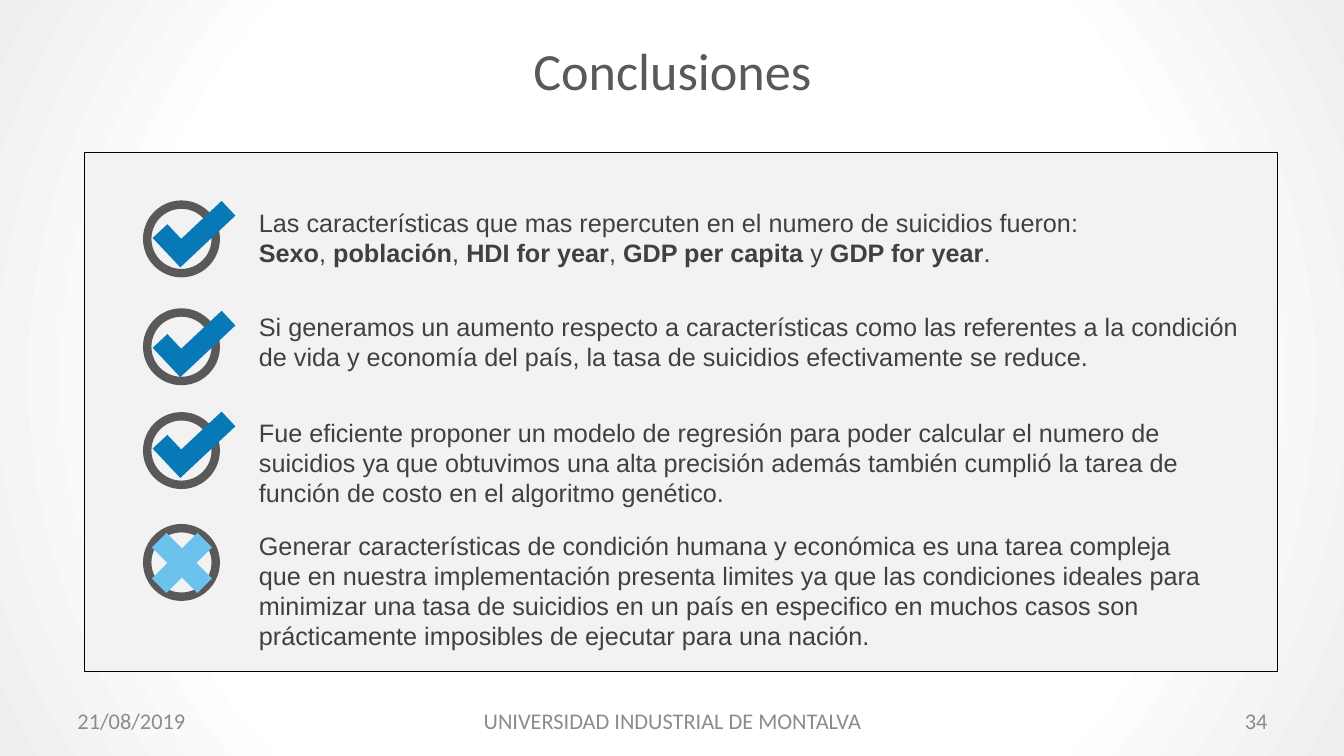
from dataclasses import dataclass

from lxml.etree import SubElement
from pptx import Presentation
from pptx.dml.color import RGBColor
from pptx.enum.shapes import MSO_SHAPE as Preset
from pptx.enum.text import MSO_ANCHOR as Anchor, PP_ALIGN as Align
from pptx.oxml.ns import qn
from pptx.util import Inches, Pt


@dataclass(frozen=True)
class Theme:
    """Colours, fonts and type sizes."""
    dark: str = "595959"
    body: str = "404040"
    muted: str = "8C8C8C"
    panel: str = "F2F2F2"
    border: str = "000000"
    check: str = "0779B7"
    cross: str = "6BC2ED"
    center: str = "FFFFFF"
    edge: str = "EEEEEE"
    heading_font: str = "Calibri"
    body_font: str = "Arial"
    title_size: float = 37.3
    body_size: float = 18
    footer_size: float = 16


@dataclass(frozen=True)
class Conclusion:
    """One conclusion, with the tops of its ring, mark and text."""
    ring_top: float
    mark_top: float
    text_top: float
    achieved: bool
    lines: tuple


THEME = Theme()
LINE_HEIGHT = 0.3
CONCLUSIONS = (
    Conclusion(2.03, 2.05, 2.01, True, (
        "Las características que mas repercuten en el numero de suicidios fueron:",
        "*Sexo*, *población*, *HDI for year*, *GDP per capita *y *GDP for year*.")),
    Conclusion(3.1, 3.14, 3.04, True, (
        "Si generamos un aumento respecto a características como las referentes a la condición",
        "de vida y economía del país, la tasa de suicidios efectivamente se reduce.")),
    Conclusion(4.13, 4.14, 4.09, True, (
        "Fue eficiente proponer un modelo de regresión para poder calcular el numero de",
        "suicidios ya que obtuvimos una alta precisión además también cumplió la tarea de",
        "función de costo en el algoritmo genético.")),
    Conclusion(5.24, 5.15, 5.21, False, (
        "Generar características de condición humana y económica es una tarea compleja",
        "que en nuestra implementación presenta limites ya que las condiciones ideales para",
        "minimizar una tasa de suicidios en un país en especifico en muchos casos son",
        "prácticamente imposibles de ejecutar para una nación.")),
)


def paint_background(slide):
    """Fill the background with a circular gradient."""
    fill = slide.background.fill
    fill.gradient()
    stops = ((0.67, THEME.center), (1, THEME.edge))
    for stop, (position, color) in zip(fill.gradient_stops, stops):
        stop.position = position
        stop.color.rgb = RGBColor.from_string(color)
    gradient = next(slide.element.iter(qn("a:gradFill")))
    gradient.remove(gradient.find(qn("a:lin")))
    circle = SubElement(gradient, qn("a:path"), path="circle")
    SubElement(circle, qn("a:fillToRect"),
               {side: "50000" for side in ("l", "t", "r", "b")})


def add_preset(slide, preset, box, fill=None, line=None, line_width=0):
    """Add a flat preset shape in the given box."""
    shape = slide.shapes.add_shape(preset, *map(Inches, box))
    shape.shadow.inherit = False
    if fill:
        shape.fill.solid()
        shape.fill.fore_color.rgb = RGBColor.from_string(fill)
    else:
        shape.fill.background()
    if line:
        shape.line.color.rgb = RGBColor.from_string(line)
        shape.line.width = Pt(line_width)
    else:
        shape.line.fill.background()
    return shape


def add_text(slide, box, lines, font, size, color, align=Align.LEFT, anchor=Anchor.MIDDLE):
    """Add a paragraph per line, with text between asterisks in bold."""
    frame = slide.shapes.add_textbox(*map(Inches, box)).text_frame
    frame.word_wrap = True
    frame.vertical_anchor = anchor
    for index, line in enumerate(lines):
        paragraph = frame.add_paragraph() if index else frame.paragraphs[0]
        paragraph.alignment = align
        for part, text in enumerate(line.split("*")):
            if text:
                run = paragraph.add_run()
                run.text = text
                run.font.name = font
                run.font.size = Pt(size)
                run.font.bold = part % 2 == 1
                run.font.color.rgb = RGBColor.from_string(color)


def add_title(slide, box):
    """Place the slide title."""
    add_text(slide, box, ["Conclusiones"], THEME.heading_font,
             THEME.title_size, THEME.dark, Align.CENTER)


def add_conclusion(slide, left, conclusion):
    """Place a ring, its mark and the text beside it."""
    add_preset(slide, Preset.OVAL, (left, conclusion.ring_top, 0.68, 0.68),
               line=THEME.dark, line_width=6)
    if conclusion.achieved:
        check = add_preset(slide, Preset.CORNER,
                           (left + 0.09, conclusion.mark_top, 0.75, 0.4), THEME.check)
        check.rotation = 316.8
    else:
        add_preset(slide, Preset.MATH_MULTIPLY,
                   (left - 0.09, conclusion.mark_top, 0.87, 0.87), THEME.cross)
    height = 0.1 + LINE_HEIGHT * len(conclusion.lines)
    add_text(slide, (left + 1.01, conclusion.text_top, 10.1, height), conclusion.lines,
             THEME.body_font, THEME.body_size, THEME.body, anchor=Anchor.TOP)


def add_panel(slide, box):
    """Place the framed panel and its conclusions."""
    add_preset(slide, Preset.RECTANGLE, box, THEME.panel, THEME.border, 0.5)
    for conclusion in CONCLUSIONS:
        add_conclusion(slide, box[0] + 0.62, conclusion)


def add_footer(slide, box):
    """Place the date, institution and slide number."""
    left, top, width, height = box
    side, middle = 3.11, 4.22
    entries = (
        ("21/08/2019", left, side, Align.LEFT),
        ("UNIVERSIDAD INDUSTRIAL DE MONTALVA", left + (width - middle) / 2, middle, Align.CENTER),
        ("34", left + width - side, side, Align.RIGHT),
    )
    for text, entry_left, entry_width, align in entries:
        add_text(slide, (entry_left, top, entry_width, height), [text],
                 THEME.heading_font, THEME.footer_size, THEME.muted, align)


def main():
    """Build and save the presentation."""
    presentation = Presentation()
    presentation.slide_width = Inches(13.33)
    presentation.slide_height = Inches(7.5)
    slide = presentation.slides.add_slide(presentation.slide_layouts[6])
    paint_background(slide)
    add_title(slide, (0.67, 0.3, 12, 0.78))
    add_panel(slide, (0.84, 1.51, 11.83, 5.15))
    add_footer(slide, (0.67, 6.95, 12, 0.4))
    presentation.save("out.pptx")


if __name__ == "__main__":
    main()
